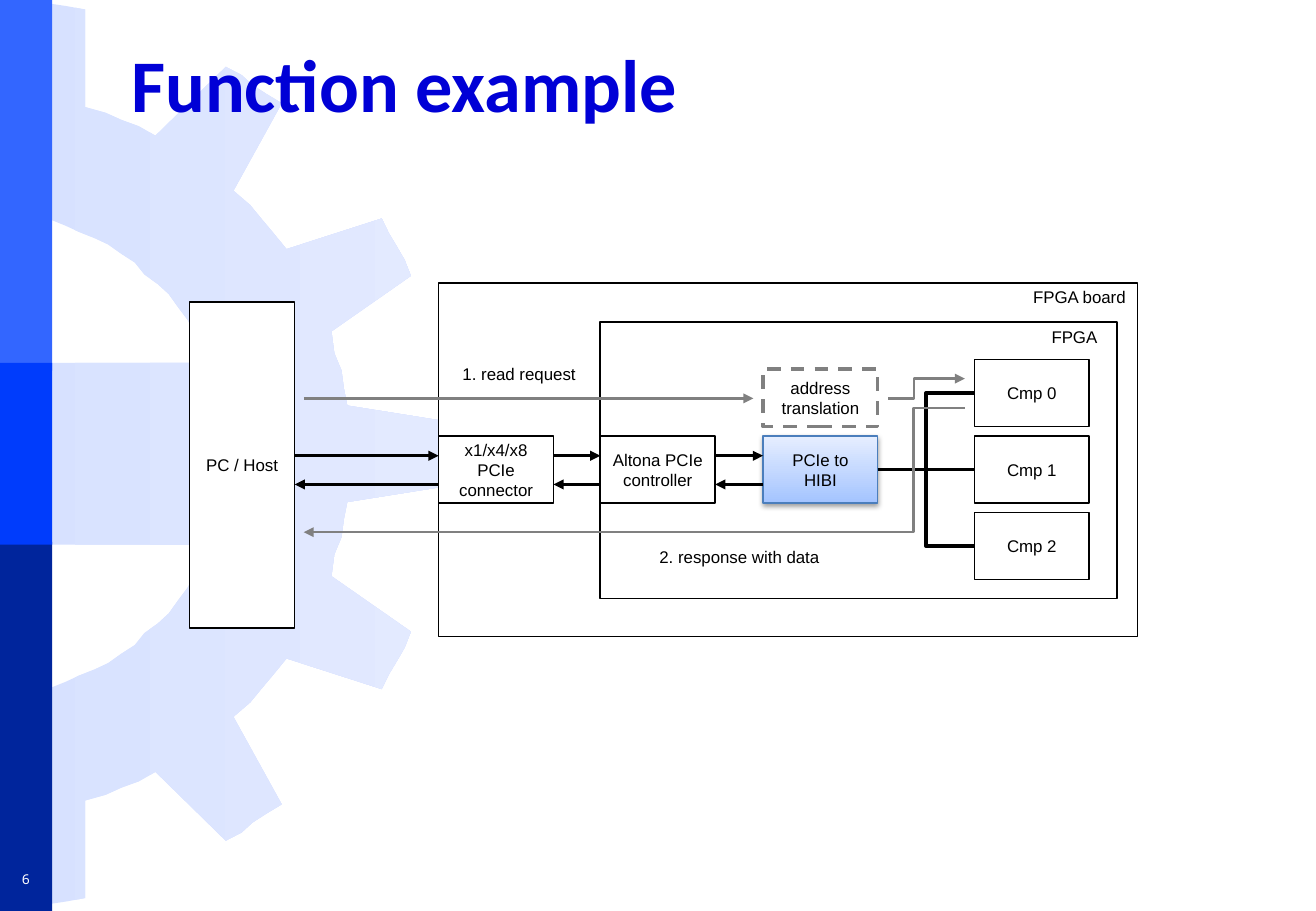
"""Build the slide that shows a read request over PCIe to an FPGA board."""
from dataclasses import dataclass
from typing import Optional

from lxml.etree import SubElement
from pptx import Presentation
from pptx.dml.color import RGBColor
from pptx.enum.dml import MSO_LINE
from pptx.enum.shapes import MSO_CONNECTOR, MSO_SHAPE
from pptx.enum.text import MSO_ANCHOR, MSO_AUTO_SIZE, PP_ALIGN
from pptx.oxml.ns import qn
from pptx.util import Cm, Pt

BLACK, GRAY, WHITE = "000000", "808080", "FFFFFF"
WIDE, HIGH, STEP = 2.4, 1.4, 1.6
PLUG, CTRL, HIBI, CMP = 9.17, 12.55, 15.95, 20.37
ROW, PC, SIDE = 9.12, 3.96, 2.2
AXIS = 9.49
GEAR = [
    (4.39, 7.59), (4.24, 7.26), (4.06, 7.01), (3.94, 6.71), (3.73, 6.43),
    (3.53, 6.15), (3.3, 5.94), (3.02, 5.74), (2.82, 5.49), (2.54, 5.31),
    (2.26, 5.11), (1.98, 4.98), (1.65, 4.85), (1.37, 4.72), (1.07, 4.6),
    (0.71, 4.57), (0.36, 4.47), (0.36, 0), (0.74, 0.03), (1.07, 0.08),
    (1.4, 0.13), (1.78, 0.2), (1.78, 2.24), (2.21, 2.36), (2.54, 2.51),
    (2.9, 2.64), (3.25, 2.84), (4.72, 1.4), (5.05, 1.57), (5.28, 1.78),
    (5.56, 1.96), (5.89, 2.16), (4.88, 3.99), (5.23, 4.29), (5.46, 4.57),
    (5.72, 4.88), (5.99, 5.21), (7.98, 4.57), (8.13, 4.88), (8.31, 5.18),
    (8.46, 5.44), (8.59, 5.77), (6.93, 6.93), (6.99, 7.39), (7.14, 7.75),
    (7.19, 8.13), (7.26, 8.48), (9.32, 8.81), (9.4, 9.12),
]


@dataclass
class Box:
    """A rectangle, its colours and its text."""
    x: float
    y: float
    w: float
    h: float
    text: str = ""
    fill: Optional[str] = WHITE
    line: Optional[str] = BLACK
    thick: float = 1
    dash: bool = False


@dataclass
class Label:
    """Free text centred in an area."""
    text: str
    x: float
    y: float
    w: float
    h: float
    font: str = "Arial"
    size: float = 10
    tint: str = BLACK


@dataclass
class Wire:
    """A line between two points, with a bend when one is given."""
    x: float
    y: float
    to_x: float
    to_y: float
    tint: str = BLACK
    thick: float = 2
    bend: Optional[float] = None
    arrow: bool = True


def hue(code: str) -> RGBColor:
    """Turn a hex string into a colour."""
    return RGBColor.from_string(code)


def write(frame, text: str, font: str, size: float, tint: str,
          align=PP_ALIGN.CENTER, bold: bool = False) -> None:
    """Put one run of text in a frame."""
    frame.word_wrap = True
    frame.auto_size = MSO_AUTO_SIZE.NONE
    frame.vertical_anchor = MSO_ANCHOR.MIDDLE
    para = frame.paragraphs[0]
    para.alignment = align
    run = para.add_run()
    run.text = text
    run.font.name, run.font.size, run.font.bold = font, Pt(size), bold
    run.font.color.rgb = hue(tint)


def blend(shape, first: str, last: str, angle: float) -> None:
    """Fill a shape with a gradient of two colours."""
    shape.fill.gradient()
    shape.fill.gradient_angle = angle
    for stop, code in zip(shape.fill.gradient_stops, (first, last)):
        stop.color.rgb = hue(code)


def draw_box(shapes, box: Box):
    """Draw a rectangle with its text."""
    shape = shapes.add_shape(MSO_SHAPE.RECTANGLE, Cm(box.x), Cm(box.y), Cm(box.w), Cm(box.h))
    shape.shadow.inherit = False
    if box.fill:
        shape.fill.solid()
        shape.fill.fore_color.rgb = hue(box.fill)
    else:
        shape.fill.background()
    if box.line:
        shape.line.color.rgb = hue(box.line)
        shape.line.width = Pt(box.thick)
    else:
        shape.line.fill.background()
    if box.dash:
        shape.line.dash_style = MSO_LINE.DASH
    if box.text:
        write(shape.text_frame, box.text, "Arial", 10, BLACK)
    return shape


def draw_label(shapes, label: Label) -> None:
    """Draw free text without margins."""
    area = shapes.add_textbox(Cm(label.x), Cm(label.y), Cm(label.w), Cm(label.h))
    frame = area.text_frame
    frame.margin_left = frame.margin_right = frame.margin_top = frame.margin_bottom = 0
    write(frame, label.text, label.font, label.size, label.tint)


def draw_wire(shapes, wire: Wire) -> None:
    """Draw a straight or bent line."""
    kind = MSO_CONNECTOR.STRAIGHT if wire.bend is None else MSO_CONNECTOR.ELBOW
    link = shapes.add_connector(kind, Cm(wire.x), Cm(wire.y), Cm(wire.to_x), Cm(wire.to_y))
    link.line.color.rgb = hue(wire.tint)
    link.line.width = Pt(wire.thick)
    props = link.element.spPr
    if wire.bend is not None:
        geom = props.find(qn("a:prstGeom"))
        guides = geom.find(qn("a:avLst"))
        if guides is None:
            guides = SubElement(geom, qn("a:avLst"))
        SubElement(guides, qn("a:gd"), name="adj1", fmla=f"val {round(wire.bend * 100000)}")
    if wire.arrow:
        SubElement(props.find(qn("a:ln")), qn("a:tailEnd"), type="triangle")
    SubElement(props, qn("a:effectLst"))


def draw_gear(shapes) -> None:
    """Draw the gear from its upper half and the mirrored lower half."""
    low = [(x, 2 * AXIS - y) for x, y in reversed(GEAR)]
    hub = [(0, low[-1][1]), (0, GEAR[0][1])]
    dots = [(Cm(x), Cm(y)) for x, y in GEAR + low + hub]
    pen = shapes.build_freeform(*dots[0])
    pen.add_line_segments(dots[1:], close=True)
    gear = pen.convert_to_shape()
    gear.shadow.inherit = False
    gear.line.fill.background()
    blend(gear, "D7E1FF", "E3EAFF", 0)


def draw_hibi(shapes) -> None:
    """Draw the highlighted block with its soft shadow."""
    block = draw_box(shapes, Box(HIBI, ROW, WIDE, HIGH, "PCIe to HIBI", line="4B7EBC", thick=0.75))
    blend(block, "A4C4FF", "E6EEFF", 90)
    glow = SubElement(block.element.spPr.find(qn("a:effectLst")), qn("a:outerShdw"),
                      blurRad="40000", dist="20000", dir="5400000", rotWithShape="0")
    tone = SubElement(glow, qn("a:srgbClr"), val=BLACK)
    SubElement(tone, qn("a:alpha"), val="38000")


def main() -> None:
    """Build and save the deck."""
    deck = Presentation()
    deck.slide_width, deck.slide_height = Cm(27.51), Cm(19.05)
    slide = deck.slides.add_slide(deck.slide_layouts[5])
    shapes = slide.shapes
    title = shapes.title

    draw_gear(shapes)
    for y, h, fill in ((0, 7.75, "3366FF"), (11.33, 7.72, "00259C"), (7.59, 3.8, "003CFC")):
        draw_box(shapes, Box(0, y, 1.09, h, fill=fill, line=None))

    title.element.getparent().append(title.element)
    title.left, title.top, title.width, title.height = Cm(2.49), Cm(0.53), Cm(23.85), Cm(2.39)
    write(title.text_frame, "Function example", "Calibri", 44, "0000D6", PP_ALIGN.LEFT, True)

    boxes = [
        Box(PLUG, 5.92, 14.61, 7.39),
        Box(CTRL, 6.73, 10.8, 5.79),
        Box(PC, 6.32, SIDE, 6.81, "PC / Host"),
        Box(PLUG, ROW, WIDE, HIGH, "x1/x4/x8 PCIe connector"),
        Box(CTRL, ROW, WIDE, HIGH, "Altona PCIe controller"),
        Box(HIBI, 7.72, WIDE, 1.2, "address translation", None, GRAY, 2, True),
    ]
    boxes += [Box(CMP, ROW + (i - 1) * STEP, WIDE, HIGH, f"Cmp {i}") for i in range(3)]
    for box in boxes:
        draw_box(shapes, box)
    draw_hibi(shapes)

    wires = []
    for x, to_x in ((PC + SIDE, PLUG), (PLUG + WIDE, CTRL), (CTRL + WIDE, HIBI)):
        wires += [Wire(x, 9.53, to_x, 9.53), Wire(to_x, 10.13, x, 10.13)]
    mid = ROW + HIGH / 2
    for i, bend in enumerate((0.5, None, 0.5)):
        wires.append(Wire(HIBI + WIDE, mid, CMP, mid + (i - 1) * STEP, bend=bend, arrow=False))
    wires += [
        Wire(6.35, 8.33, 15.75, 8.33, GRAY, 1.5),
        Wire(18.57, 8.33, 20.17, 7.92, GRAY, 1.5, 0.335),
        Wire(20.17, 8.53, 6.35, 11.13, GRAY, 1.5, 0.078),
    ]
    for wire in wires:
        draw_wire(shapes, wire)

    for label in (
        Label("FPGA board", 21.36, 5.92, 2.41, 0.56),
        Label("FPGA", 21.56, 6.73, 1.8, 0.61),
        Label("1. read request", 9.35, 7.52, 3, 0.61),
        Label("2. response with data", 13.36, 11.33, 4.19, 0.61),
        Label("6", 0, 18.06, 1.09, 0.66, "Noto Sans Mono", 8, WHITE),
    ):
        draw_label(shapes, label)
    deck.save("out.pptx")


if __name__ == "__main__":
    main()
